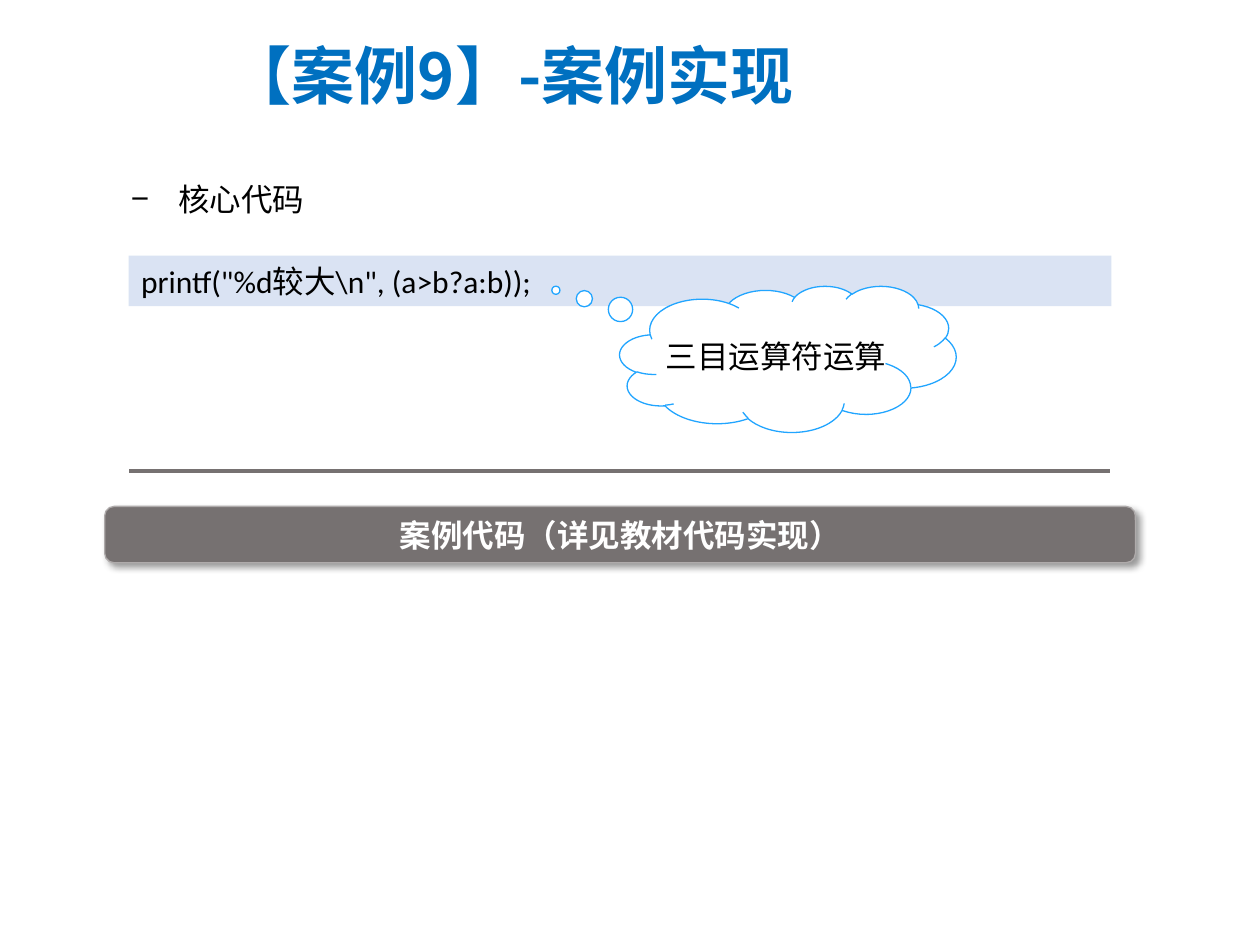
from lxml import etree
from pptx import Presentation
from pptx.dml.color import RGBColor
from pptx.enum import shapes, text
from pptx.oxml import ns
from pptx.util import Pt

COLORS = {
    "title": "0070C0", "code": "DAE3F3", "gray": "767171", "edge": "AFABAB",
    "cloud": "21A5FF", "white": "FFFFFF", "black": "000000",
}
CJK = "Noto Sans CJK SC"


def rgb(name):
    return RGBColor.from_string(COLORS[name])


def write(s, words, size, font, color, bold=False, align=text.PP_ALIGN.LEFT,
          anchor=text.MSO_ANCHOR.MIDDLE, wrap=True, ea=CJK):
    """Put one styled run in the shape and return its paragraph."""
    tf = s.text_frame
    tf.word_wrap = wrap
    tf.vertical_anchor = anchor
    p = tf.paragraphs[0]
    p.alignment = align
    r = p.add_run()
    r.text = words
    r.font.size = Pt(size)
    r.font.bold = bold
    r.font.color.rgb = rgb(color)
    r.font.name = font
    etree.SubElement(r.font._element, ns.qn("a:ea"), typeface=ea)
    return p


prs = Presentation()
prs.slide_width, prs.slide_height = Pt(720), Pt(540)
slide = prs.slides.add_slide(prs.slide_layouts[6])
sp = slide.shapes

# Title and heading
title = sp.add_textbox(Pt(123.8), Pt(12.2), Pt(405.4), Pt(60.5))
write(title, "【案例9】-案例实现", 36, CJK, "title", bold=True)

heading = sp.add_textbox(Pt(67.7), Pt(88.6), Pt(612.7), Pt(34.6))
p = write(heading, "核心代码", 18, "Arial", "black", anchor=text.MSO_ANCHOR.TOP)
p.line_spacing = 1.5
pPr = p._p.get_or_add_pPr()
pPr.set("marL", str(Pt(27)))
pPr.set("indent", str(-Pt(27)))
etree.SubElement(pPr, ns.qn("a:buFont"), typeface="Arial")
etree.SubElement(pPr, ns.qn("a:buChar"), char="−")

# Code strip, button and cloud: kind, box, fill, line
boxes = [
    (shapes.MSO_SHAPE.RECTANGLE, (73.6, 146, 561.6, 29), "code", None),
    (shapes.MSO_SHAPE.ROUNDED_RECTANGLE, (59.8, 289.4, 589, 32.2), "gray", "edge"),
    (shapes.MSO_SHAPE.CLOUD_CALLOUT, (354.2, 163.4, 192.2, 83.5), "white", "cloud"),
]
drawn = []
for kind, box, fill, line in boxes:
    s = sp.add_shape(kind, *map(Pt, box))
    s.shadow.inherit = False
    s.fill.solid()
    s.fill.fore_color.rgb = rgb(fill)
    if line:
        s.line.color.rgb = rgb(line)
        s.line.width = Pt(0.75)
    else:
        s.line.fill.background()
    drawn.append(s)
code, button, cloud = drawn

write(code, 'printf("%d较大\\n", (a>b?a:b));', 18, "Calibri", "black",
      anchor=text.MSO_ANCHOR.TOP)
write(button, "案例代码（详见教材代码实现）", 18, "Calibri", "white", bold=True,
      align=text.PP_ALIGN.CENTER)
write(cloud, "三目运算符运算", 18, "Noto Sans CJK KR", "black",
      align=text.PP_ALIGN.CENTER, wrap=False)
cloud.adjustments[0] = -0.69
cloud.adjustments[1] = -0.47

effects = button._element.spPr.find(ns.qn("a:effectLst"))
shadow = etree.SubElement(effects, ns.qn("a:outerShdw"), blurRad=str(Pt(4)),
                          dist=str(Pt(3)), dir="2700000", algn="tl", rotWithShape="0")
tint = etree.SubElement(shadow, ns.qn("a:srgbClr"), val=COLORS["black"])
etree.SubElement(tint, ns.qn("a:alpha"), val="40000")

# Divider
divider = sp.add_connector(shapes.MSO_CONNECTOR.STRAIGHT,
                           Pt(74), Pt(269.2), Pt(634.4), Pt(269.2))
divider.line.color.rgb = rgb("gray")
divider.line.width = Pt(2.25)
etree.SubElement(divider._element.spPr, ns.qn("a:effectLst"))

prs.save("out.pptx")
